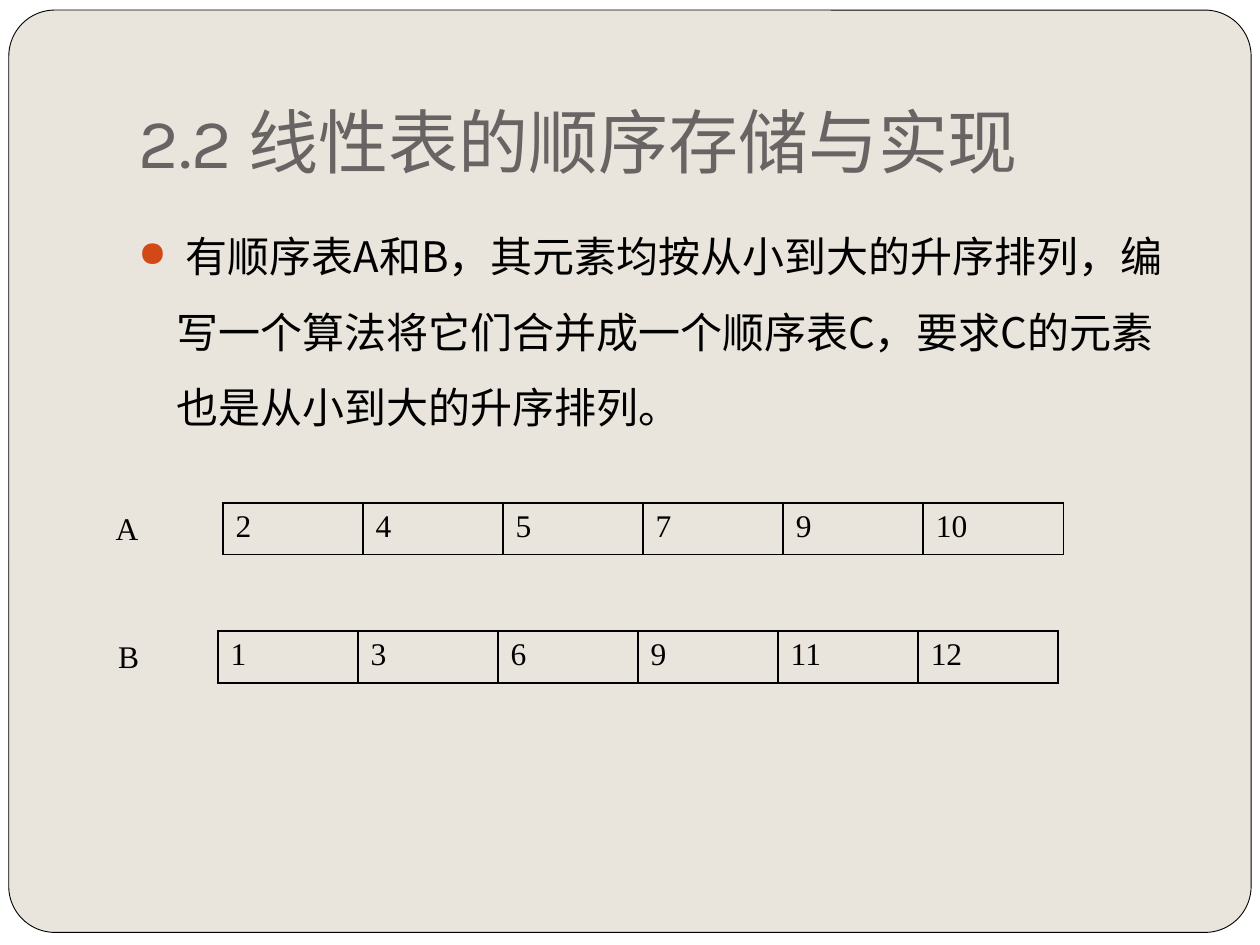
from lxml import etree
from pptx import Presentation
from pptx.dml.color import RGBColor
from pptx.enum import shapes, text
from pptx.oxml import ns
from pptx.util import Inches, Pt

SANS, SERIF = "Noto Sans CJK SC", "Times New Roman"
BLACK, CREAM, GREY, ORANGE = "000000", "E9E5DC", "696464", "D34817"


def color(value):
    return RGBColor.from_string(value)


def apply(obj, values):
    for name, value in values.items():
        setattr(obj, name, value)


def add_xml(parent, tag, **attrs):
    return etree.SubElement(parent, ns.qn(tag), attrs)


def write(tf, words, size, font, hue, east=SANS):
    p = tf.paragraphs[0]
    r = p.add_run()
    r.text = words
    apply(r.font, {"size": Pt(size), "name": font, "bold": False})
    r.font.color.rgb = color(hue)
    add_xml(r.font._element, "a:ea", typeface=east)
    return p


def add_panel(s, box, kind, fill, line=None):
    sp = s.shapes.add_shape(kind, *map(Inches, box))
    sp.shadow.inherit = False
    sp.fill.solid()
    sp.fill.fore_color.rgb = color(fill)
    if line:
        sp.line.color.rgb = color(line)
        sp.line.width = Pt(0.5)
    else:
        sp.line.fill.background()
    return sp


def add_frame(s):
    add_panel(s, (0, 0, 10, 7.5), shapes.MSO_SHAPE.RECTANGLE, "FFFFFF")
    card = add_panel(s, (0.07, 0.08, 9.86, 7.32),
                     shapes.MSO_SHAPE.ROUNDED_RECTANGLE, CREAM, BLACK)
    card.adjustments[0] = 0.05


def add_title(s, box, words):
    sp = s.shapes.title
    s.shapes.element.append(sp.element)  # bring in front of the frame
    apply(sp, dict(zip(("left", "top", "width", "height"), map(Inches, box))))
    apply(sp.text_frame, {
        "word_wrap": True, "vertical_anchor": text.MSO_ANCHOR.BOTTOM,
        "margin_left": Inches(0.1), "margin_right": Inches(0.1),
        "margin_top": Inches(0.05), "margin_bottom": Inches(0.1)})
    p = write(sp.text_frame, words, 40, "Karla", GREY)
    p.alignment = text.PP_ALIGN.LEFT


def add_body(s, box, words):
    tf = s.shapes.add_textbox(*map(Inches, box)).text_frame
    tf.word_wrap = True
    p = write(tf, words, 24, SANS, BLACK)
    apply(p, {"line_spacing": 1.5, "space_before": Pt(5.8)})
    # Hanging round bullet
    pPr = p._p.get_or_add_pPr()
    pPr.set("marL", str(Inches(0.3)))
    pPr.set("indent", str(Inches(-0.3)))
    add_xml(add_xml(pPr, "a:buClr"), "a:srgbClr", val=ORANGE)
    add_xml(pPr, "a:buSzPct", val="85000")
    add_xml(pPr, "a:buChar", char="●")


def add_borders(cell):
    tcPr = cell._tc.get_or_add_tcPr()
    for i, side in enumerate(("lnL", "lnR", "lnT", "lnB")):
        ln = etree.Element(ns.qn(f"a:{side}"), w=str(Pt(1)))
        add_xml(add_xml(ln, "a:solidFill"), "a:srgbClr", val=BLACK)
        tcPr.insert(i, ln)


def add_list(s, box, values):
    table = s.shapes.add_table(1, len(values), *map(Inches, box)).table
    apply(table, {"first_row": False, "horz_banding": False})
    for cell, value in zip(table.iter_cells(), values):
        cell.fill.background()
        write(cell.text_frame, str(value), 18, SERIF, BLACK)
        add_borders(cell)


def add_label(s, box, words):
    tf = s.shapes.add_textbox(*map(Inches, box)).text_frame
    apply(tf, {"word_wrap": False,
               "auto_size": text.MSO_AUTO_SIZE.SHAPE_TO_FIT_TEXT})
    write(tf, words, 18, SERIF, BLACK)


def main():
    prs = Presentation()
    apply(prs, {"slide_width": Inches(10), "slide_height": Inches(7.5)})
    s = prs.slides.add_slide(prs.slide_layouts[5])
    s.background.fill.solid()
    s.background.fill.fore_color.rgb = color(CREAM)

    add_frame(s)
    add_title(s, (1, 0.3, 8.5, 1.25), "2.2 线性表的顺序存储与实现")
    add_body(s, (1, 1.58, 8.5, 5),
             " 有顺序表A和B，其元素均按从小到大的升序排列，"
             "编写一个算法将它们合并成一个顺序表C，"
             "要求C的元素也是从小到大的升序排列。")

    # The two sorted lists with their names
    lists = (("A", 0.82, 0.35, 1.77, 3.99, (2, 4, 5, 7, 9, 10)),
             ("B", 0.84, 0.33, 1.73, 5.01, (1, 3, 6, 9, 11, 12)))
    for name, x, width, left, top, values in lists:
        add_list(s, (left, top, 6.67, 0.41), values)
        add_label(s, (x, top, width, 0.4), name)

    prs.save("out.pptx")


if __name__ == "__main__":
    main()
